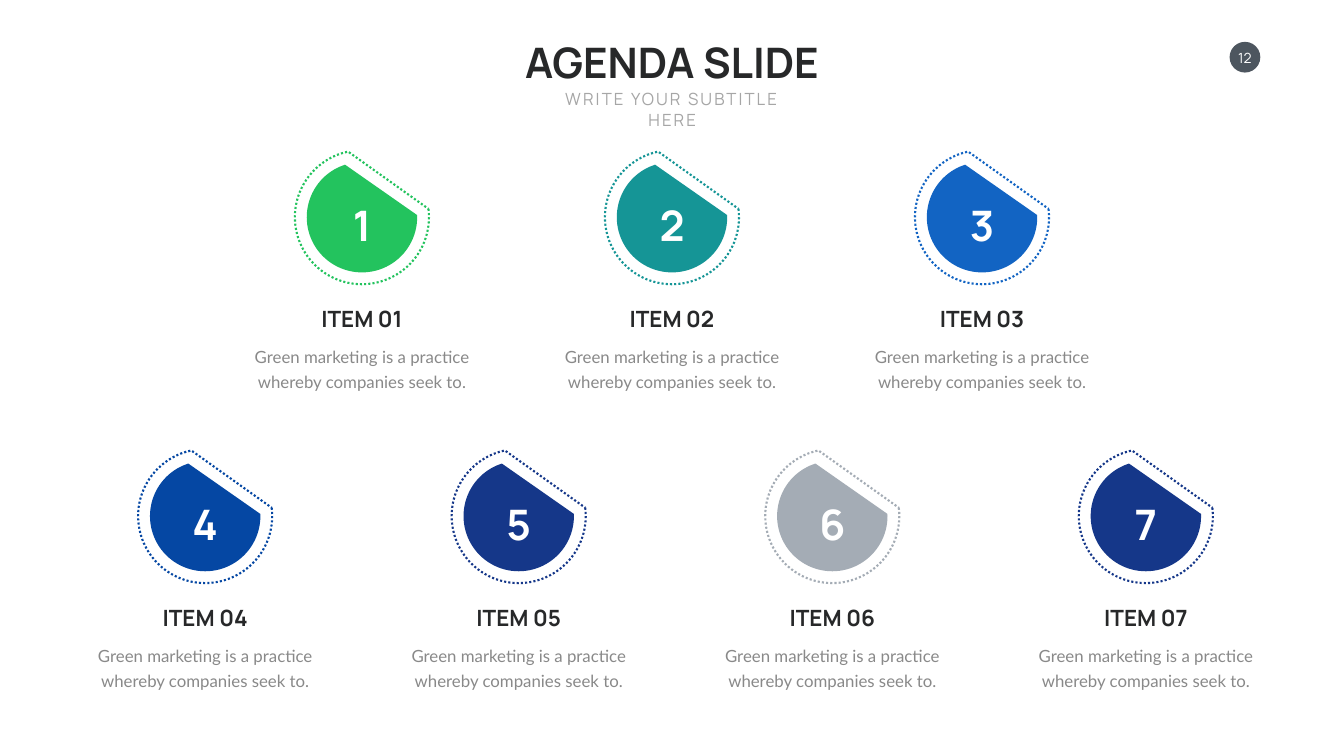
from dataclasses import dataclass
from typing import Optional

import pptx
import pptx.dml.color
import pptx.enum.dml
import pptx.enum.shapes
import pptx.enum.text
import pptx.util

RGB = pptx.dml.color.RGBColor
SHAPE = pptx.enum.shapes.MSO_SHAPE
ANCHOR = pptx.enum.text.MSO_ANCHOR

EMU_PER_PX = 9144  # 100 px to the inch
SLIDE_WIDTH, SLIDE_HEIGHT = 2666, 1500

WHITE = RGB(0xFF, 0xFF, 0xFF)
INK = RGB(0x27, 0x28, 0x29)
SUBTITLE_GREY = RGB(0xA6, 0xA6, 0xA6)
BODY_GREY = RGB(0x89, 0x89, 0x89)
SLATE = RGB(0x4D, 0x56, 0x5F)
GREEN = RGB(0x23, 0xC3, 0x5E)
TEAL = RGB(0x15, 0x95, 0x96)
AZURE = RGB(0x12, 0x64, 0xC3)
COBALT = RGB(0x05, 0x47, 0xA3)
NAVY = RGB(0x15, 0x37, 0x89)
SILVER = RGB(0xA4, 0xAC, 0xB5)

HEADING_FONT, BODY_FONT = "Manrope", "Lato"
DESCRIPTION = "Green marketing is a practice whereby companies seek to."

RING_SIZE, DISC_SIZE = 266, 219
RING_CUT = (211.708, 154.852)
DISC_CUT = (214.665, 151.29)


@dataclass(frozen=True)
class AgendaRow:
    first_center: int
    pitch: int
    top: int
    colors: tuple


ROWS = (
    AgendaRow(718, 615, 298, (GREEN, TEAL, AZURE)),
    AgendaRow(407, 622, 891, (COBALT, NAVY, SILVER, NAVY)),
)


def px(length: float) -> pptx.util.Emu:
    return pptx.util.Emu(round(length * EMU_PER_PX))


def place(shape, left: float, top: float, width: float, height: float) -> None:
    shape.left, shape.top = px(left), px(top)
    shape.width, shape.height = px(width), px(height)


def write(shape, text: str, *, size: int, color: RGB, font: str = HEADING_FONT,
          bold: bool = False, anchor=ANCHOR.TOP, wrap: bool = False,
          margin: Optional[int] = None, leading: Optional[int] = None,
          tracking: int = 0) -> None:
    """Put one centred, formatted paragraph into a shape."""
    frame = shape.text_frame
    frame.auto_size = pptx.enum.text.MSO_AUTO_SIZE.NONE
    frame.word_wrap = wrap
    frame.vertical_anchor = anchor
    if margin is not None:
        frame.margin_left = frame.margin_right = px(margin)
        frame.margin_top = frame.margin_bottom = px(margin)
    paragraph = frame.paragraphs[0]
    paragraph.alignment = pptx.enum.text.PP_ALIGN.CENTER
    paragraph.line_spacing = pptx.util.Pt(leading) if leading else 1.0
    run = paragraph.add_run()
    run.text = text
    run.font.name = font
    run.font.size = pptx.util.Pt(size)
    run.font.bold = bold
    run.font.color.rgb = color
    if tracking:
        run.font._element.set("spc", str(tracking * 100))


def add_text(slide, left: float, top: float, width: float, height: float,
             text: str, **text_format) -> None:
    box = slide.shapes.add_textbox(px(left), px(top), px(width), px(height))
    write(box, text, **text_format)


def add_plain_shape(slide, kind, left: float, top: float, size: int):
    shape = slide.shapes.add_shape(kind, px(left), px(top), px(size), px(size))
    shape.shadow.inherit = False
    return shape


def add_chord(slide, center_x: float, center_y: float, size: int, cut: tuple):
    chord = add_plain_shape(slide, SHAPE.CHORD, center_x - size / 2,
                            center_y - size / 2, size)
    chord.adjustments[0], chord.adjustments[1] = cut
    return chord


def add_item(slide, number: int, center: int, top: int, color: RGB) -> None:
    middle = top + RING_SIZE / 2

    # Solid disc inside a dotted ring
    disc = add_chord(slide, center, middle, DISC_SIZE, DISC_CUT)
    disc.fill.solid()
    disc.fill.fore_color.rgb = color
    disc.line.fill.background()
    ring = add_chord(slide, center, middle, RING_SIZE, RING_CUT)
    ring.fill.background()
    ring.line.color.rgb = color
    ring.line.width = pptx.util.Pt(3)
    ring.line.dash_style = pptx.enum.dml.MSO_LINE.ROUND_DOT

    # Number, heading and description
    add_text(slide, center - 36, top + 92, 72, 111, str(number),
             size=60, color=WHITE, bold=True, anchor=ANCHOR.MIDDLE)
    add_text(slide, center - 96, top + 302, 192, 64, f"ITEM {number:02d}",
             size=32, color=INK, bold=True, anchor=ANCHOR.BOTTOM)
    add_text(slide, center - 227, top + 377, 454, 103, DESCRIPTION,
             size=24, color=BODY_GREY, font=BODY_FONT, wrap=True, leading=35)


def main() -> None:
    deck = pptx.Presentation()
    deck.slide_width, deck.slide_height = px(SLIDE_WIDTH), px(SLIDE_HEIGHT)
    slide = deck.slides.add_slide(deck.slide_layouts[5])

    # Page number
    badge = add_plain_shape(slide, SHAPE.OVAL, 2439, 83, 61)
    badge.fill.solid()
    badge.fill.fore_color.rgb = SLATE
    badge.line.fill.background()
    add_text(slide, 2449, 97, 41, 34, "12", size=20, color=WHITE,
             anchor=ANCHOR.MIDDLE, margin=0)

    # Title and subtitle
    title = slide.shapes.title
    place(title, 1023, 67, 620, 111)
    write(title, "AGENDA SLIDE", size=60, color=INK, bold=True)
    add_text(slide, 1062, 172, 543, 50, "WRITE YOUR SUBTITLE HERE",
             size=24, color=SUBTITLE_GREY, wrap=True, tracking=3)

    # Agenda items, numbered through both rows
    number = 0
    for row in ROWS:
        for column, color in enumerate(row.colors):
            number += 1
            add_item(slide, number, row.first_center + column * row.pitch,
                     row.top, color)

    deck.save("out.pptx")


if __name__ == "__main__":
    main()
